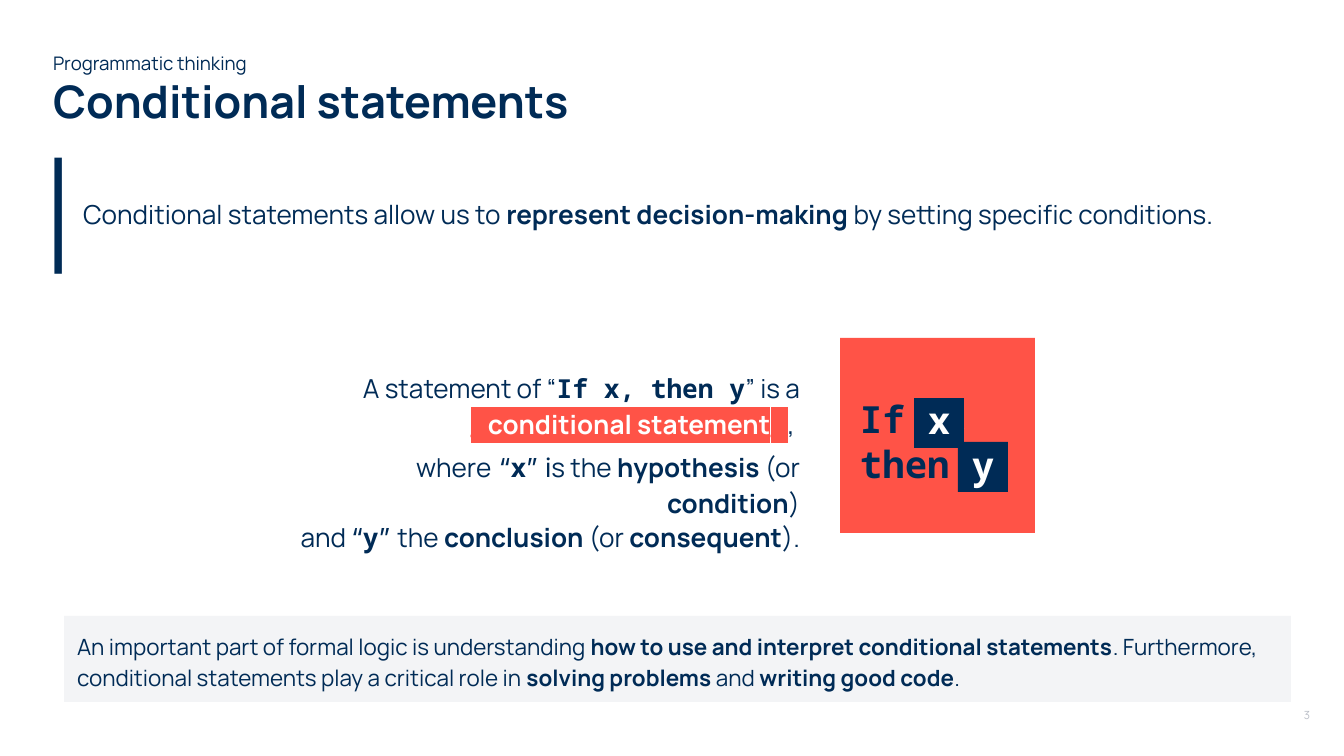
import pptx
import pptx.util
import pptx.dml.color
import pptx.enum.shapes
import pptx.enum.text
import pptx.oxml.ns
from lxml import etree

NAVY, CORAL, PALE, GREY, WHITE = "002B56", "FF5347", "F3F4F6", "BABEC7", "FFFFFF"
SANS, QUOTE, MONO = "Manrope", "Inter", "Noto Sans Mono"
PX = 914400 / 134.4
WIDTH, HEIGHT = 1344, 756
PAD = 13
ALL_PADS = (PAD, PAD, PAD, PAD)

STYLES = {
    "plain": (SANS, False, NAVY, None),
    "bold": (SANS, True, NAVY, None),
    "quote": (QUOTE, False, NAVY, None),
    "code": (MONO, True, NAVY, None),
    "code white": (MONO, True, WHITE, None),
    "marked": (SANS, True, WHITE, CORAL),
    "marked edge": (SANS, True, CORAL, CORAL),
    "page number": (SANS, False, GREY, None),
}

BAR = [("|", "quote")]
STATEMENT = [
    ("A statement of “", "plain"), ("If x, then y", "code"), ("” is a", "plain"), "break",
    ("_", "marked edge"), ("conditional statement", "marked"), ("_", "marked edge"),
    (", ", "plain"),
]
INTRO = [
    ("Conditional statements allow us to ", "plain"), ("represent decision-making", "bold"),
    (" by setting specific conditions.", "plain"),
]
SUMMARY = [
    ("An important part of formal logic is understanding ", "plain"),
    ("how to use and interpret conditional statements", "bold"),
    (". Furthermore, conditional statements play a critical role in ", "plain"),
    ("solving problems", "bold"), (" and ", "plain"), ("writing good code", "bold"),
    (".", "plain"),
]
RULE = [("If", "code"), (" x, ", "code white"), ("then ", "code"), ("y", "code white")]
HYPOTHESIS = [
    ("where", "plain"), (" “", "quote"), ("x", "code"), ("” i", "quote"), ("s the ", "plain"),
    ("hypothesis ", "bold"), ("(or", "plain"), (" condition", "bold"), (")", "plain"),
]
CONCLUSION = [
    ("and ", "plain"), ("“", "quote"), ("y", "code"), ("” ", "quote"), ("the ", "plain"),
    ("conclusion ", "bold"), ("(or", "plain"), (" consequent", "bold"), (").", "plain"),
]
BODY = {"spaced": True}
RIGHT = {"spaced": True, "align": "RIGHT"}
TILE = 50
TILES = [("x", 914, 398, 397), ("y", 958, 442, 442)]


def color(value):
    return pptx.dml.color.RGBColor.from_string(value)


def place(box):
    return [round(value * PX) for value in box]


def add_block(page, box, fill):
    block = page.shapes.add_shape(pptx.enum.shapes.MSO_SHAPE.RECTANGLE, *place(box))
    block.shadow.inherit = False
    block.fill.solid()
    block.fill.fore_color.rgb = color(fill)
    block.line.fill.background()
    return block


def add_span(para, text, style, size):
    name, bold, ink, mark = STYLES[style]
    span = para.add_run()
    span.text = text
    span.font.size = pptx.util.Pt(size)
    span.font.bold = bold
    span.font.color.rgb = color(ink)
    span.font.name = name
    if mark:
        qn = pptx.oxml.ns.qn
        highlight = etree.Element(qn("a:highlight"))
        etree.SubElement(highlight, qn("a:srgbClr"), val=mark)
        span.font._element.find(qn("a:latin")).addprevious(highlight)


def add_break(para, size):
    para.add_line_break()
    etree.SubElement(para._p[-1], pptx.oxml.ns.qn("a:rPr"), sz=str(size * 100))


def write(shape, spans, size, pads=ALL_PADS, anchor="TOP", align="LEFT", spaced=False):
    frame = shape.text_frame
    frame.word_wrap = True
    frame.vertical_anchor = getattr(pptx.enum.text.MSO_ANCHOR, anchor)
    (frame.margin_left, frame.margin_top,
     frame.margin_right, frame.margin_bottom) = place(pads)
    para = frame.paragraphs[0]
    para.alignment = getattr(pptx.enum.text.PP_ALIGN, align)
    if spaced:
        para.line_spacing = 1.15
        para.space_after = pptx.util.Pt(12)
    for span in spans:
        if span == "break":
            add_break(para, size)
        else:
            add_span(para, *span, size)


def add_text(page, box, spans, size, **layout):
    write(page.shapes.add_textbox(*place(box)), spans, size, **layout)


def main():
    deck = pptx.Presentation()
    deck.slide_width, deck.slide_height = place((WIDTH, HEIGHT))
    page = deck.slides.add_slide(deck.slide_layouts[6])

    add_text(page, (43, 132, 27, 161), BAR, 52, pads=(0, PAD, 0, PAD), anchor="MIDDLE")
    add_block(page, (840, 338, 195, 195), CORAL)
    add_text(page, (220, 355, 593, 95), STATEMENT, 14, **RIGHT)
    add_text(page, (63, 153, 1227, 117), INTRO, 14,
             pads=(20, PAD, PAD, PAD), anchor="MIDDLE", **BODY)
    add_text(page, (53, 52, 1238, 22), [("Programmatic thinking", "plain")], 10,
             pads=(0, PAD, PAD, PAD), anchor="MIDDLE")
    add_text(page, (1291, 702, 53, 38), [("3", "page number")], 6)
    add_text(page, (53, 74, 1238, 52), [("Conditional statements", "bold")], 24,
             pads=(0, 0, 0, 0))
    write(add_block(page, (64, 616, 1227, 86), PALE), SUMMARY, 12, **BODY)
    add_text(page, (847, 383, 207, 118), RULE, 20)
    add_text(page, (265, 434, 548, 95), HYPOTHESIS, 14, **RIGHT)
    for letter, left, top, text_top in TILES:
        add_block(page, (left, top, TILE, TILE), NAVY)
        add_text(page, (left, text_top, TILE, 46), [(letter, "code white")], 20,
                 pads=(0, 0, 0, 0), align="CENTER")
    add_text(page, (149, 504, 664, 59), CONCLUSION, 14, **RIGHT)

    deck.save("out.pptx")


if __name__ == "__main__":
    main()
